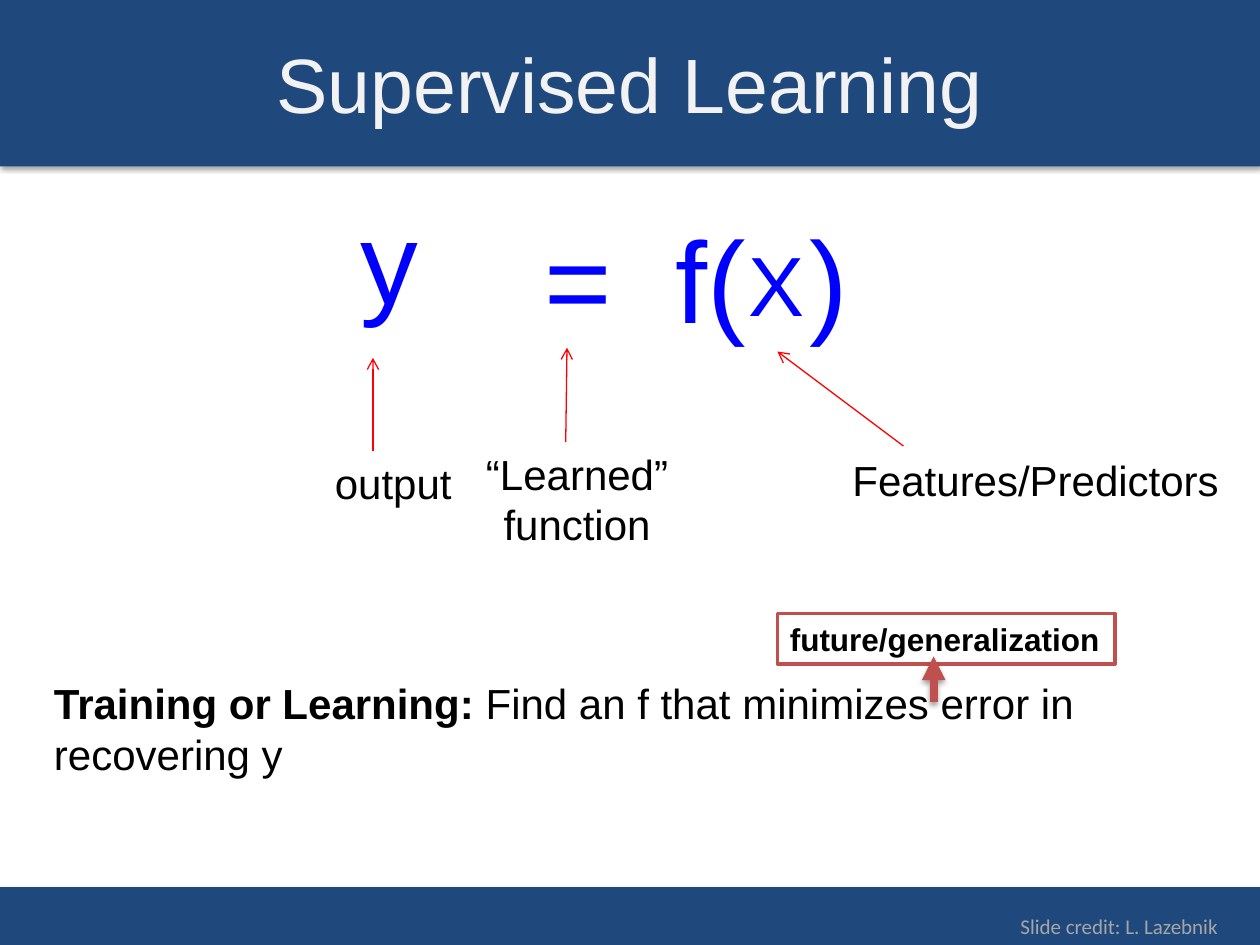
from lxml.etree import SubElement
from pptx import Presentation
from pptx.dml.color import RGBColor
from pptx.enum.shapes import MSO_CONNECTOR, MSO_SHAPE
from pptx.enum.text import MSO_ANCHOR, PP_ALIGN
from pptx.oxml.ns import qn
from pptx.util import Inches, Pt

NAVY = "1F497D"
BLUE = "0000FF"
RED = "FF0000"
BRICK = "C0504D"
BLACK = "000000"


def color(value):
    return RGBColor.from_string(value)


def set_effects(shape, opacity=None):
    effects = SubElement(shape._element.spPr, qn("a:effectLst"))
    if opacity:
        shadow = SubElement(effects, qn("a:outerShdw"), blurRad=str(Pt(3.1)),
                            dist=str(Pt(1.8)), dir="5400000", rotWithShape="0")
        black = SubElement(shadow, qn("a:srgbClr"), val=BLACK)
        SubElement(black, qn("a:alpha"), val=str(opacity * 1000))


def write_text(shape, *lines, size=24, font="Arial", fill=BLACK, bold=False,
               align=PP_ALIGN.LEFT, anchor=MSO_ANCHOR.TOP, wrap=True):
    frame = shape.text_frame
    frame.word_wrap = wrap
    frame.vertical_anchor = anchor
    for index, line in enumerate(lines):
        paragraph = frame.add_paragraph() if index else frame.paragraphs[0]
        paragraph.alignment = align
        runs = [(line, bold)] if isinstance(line, str) else line
        for text, run_bold in runs:
            run = paragraph.add_run()
            run.text = text
            run.font.size = Pt(size)
            run.font.name = font
            run.font.bold = run_bold
            run.font.color.rgb = color(fill)


def add_text(slide, box, *lines, **text_format):
    shape = slide.shapes.add_textbox(*map(Inches, box))
    write_text(shape, *lines, **text_format)


def add_symbol(slide, text, center, top, size=66):
    width = 0.8
    add_text(slide, (center - width / 2, top, width, size / 55), text,
             size=size, fill=BLUE, align=PP_ALIGN.CENTER, wrap=False)


def add_rectangle(shapes, box, fill):
    shape = shapes.add_shape(MSO_SHAPE.RECTANGLE, *map(Inches, box))
    shape.fill.solid()
    shape.fill.fore_color.rgb = color(fill)
    shape.line.fill.background()
    return shape


def add_band(slide, top, height):
    band = add_rectangle(slide.shapes, (0, top, 10, height), NAVY)
    set_effects(band, opacity=35)


def add_arrow(shapes, start, end, line=RED, width=0.75, head="arrow", opacity=None):
    arrow = shapes.add_connector(MSO_CONNECTOR.STRAIGHT, *map(Inches, start + end))
    arrow.line.color.rgb = color(line)
    arrow.line.width = Pt(width)
    SubElement(arrow.line._get_or_add_ln(), qn("a:tailEnd"), type=head)
    set_effects(arrow, opacity)


def add_callout(slide):
    group = slide.shapes.add_group_shape()
    box = add_rectangle(group.shapes, (6.17, 4.87, 2.68, 0.4), "FFFFFF")
    box.shadow.inherit = False
    box.line.color.rgb = color(BRICK)
    box.line.width = Pt(2)
    write_text(box, "future/generalization", size=18, bold=True, wrap=False)
    add_arrow(group.shapes, (7.41, 5.57), (7.41, 5.21), line=BRICK, width=4.5,
              head="triangle", opacity=38)


def main():
    presentation = Presentation()
    presentation.slide_width = Inches(10)
    presentation.slide_height = Inches(7.5)
    slide = presentation.slides.add_slide(presentation.slide_layouts[6])

    add_band(slide, 7.04, 0.46)
    add_band(slide, 0, 1.32)
    add_text(slide, (0, 0.03, 10, 1.25), "Supervised Learning", size=44,
             fill="F2F2F2", align=PP_ALIGN.CENTER, anchor=MSO_ANCHOR.MIDDLE)

    add_symbol(slide, "y", 3.09, 1.45)
    for text, center in (("=", 4.59), ("f(", 5.64), (")", 6.58)):
        add_symbol(slide, text, center, 1.6)
    add_symbol(slide, "X", 6.16, 1.8, size=48)

    add_text(slide, (0.33, 5.33, 9.42, 1.05),
             [("Training or Learning: ", True),
              ("Find an f that minimizes error in recovering y", False)])

    for start, end in (((2.96, 3.58), (2.96, 2.84)),
                       ((4.49, 3.51), (4.5, 2.76)),
                       ((7.17, 3.54), (6.17, 2.79))):
        add_arrow(slide.shapes, start, end)

    add_text(slide, (2.56, 3.58, 1.14, 0.5), "output", wrap=False)
    add_text(slide, (3.33, 3.51, 2.5, 0.91), "“Learned”", "function",
             align=PP_ALIGN.CENTER)
    add_text(slide, (6.57, 3.56, 3.3, 0.5), "Features/Predictors",
             align=PP_ALIGN.CENTER)
    add_text(slide, (8, 7.2, 1.98, 0.3), "Slide credit: L. Lazebnik",
             size=12, font="Calibri", fill="A6A6A6", wrap=False)
    add_callout(slide)

    presentation.save("out.pptx")


if __name__ == "__main__":
    main()
